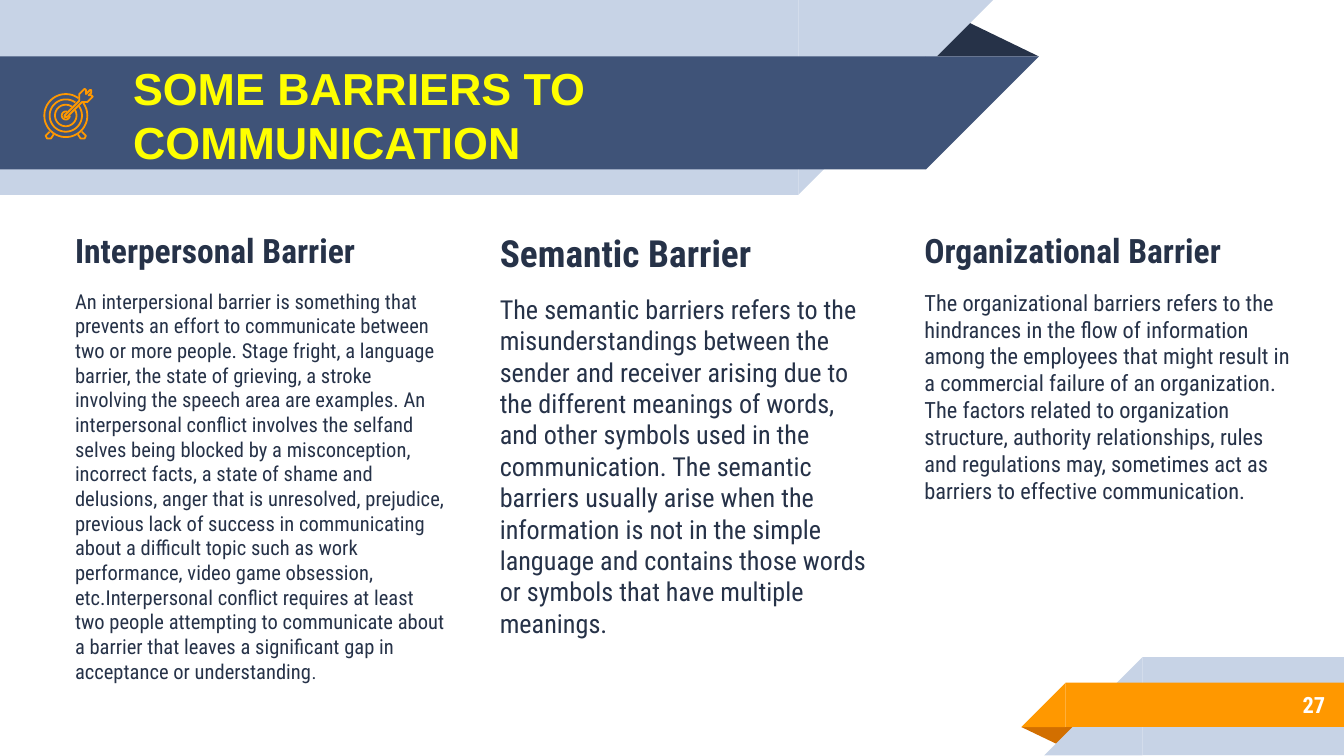
from math import cos, radians, sin

from pptx import Presentation
from pptx.dml.color import RGBColor
from pptx.enum.shapes import MSO_SHAPE
from pptx.enum.text import MSO_ANCHOR, MSO_AUTO_SIZE, PP_ALIGN
from pptx.util import Inches, Pt

COLORS = {
    "ink": "263248",
    "navy": "3F5378",
    "mist": "C7D3E6",
    "orange": "FF9800",
    "rust": "D26F00",
    "yellow": "FFFF00",
    "white": "FFFFFF",
}

COLUMNS = [
    ("Interpersonal Barrier", 18, [
        ("An interpersional barrier is something that prevents an effort to communicate "
         "between two or more people. Stage fright, a language barrier, the state of "
         "grieving, a stroke involving the speech area are examples. An interpersonal "
         "conflict involves the selfand selves being blocked by a misconception, incorrect "
         "facts, a state of shame and delusions, anger that is unresolved, prejudice, "
         "previous lack of success in communicating about a difficult topic such as work "
         "performance, video game obsession, etc.Interpersonal conflict requires at least "
         "two people attempting to communicate about a barrier that leaves a significant "
         "gap in acceptance or understanding", 11),
        (".", 10),
    ]),
    ("Semantic Barrier", 20, [
        ("The semantic barriers refers to the misunderstandings between the sender and "
         "receiver arising due to the different meanings of words, and other symbols used "
         "in the communication. The semantic barriers usually arise when the information "
         "is not in the simple language and contains those words or symbols that have "
         "multiple meanings.", 14),
    ]),
    ("Organizational Barrier", 18, [
        ("The organizational barriers refers to the hindrances in the flow of information "
         "among the employees that might result in a commercial failure of an organization. "
         "The factors related to organization structure, authority relationships, rules and "
         "regulations may, sometimes act as barriers to effective communication.", 12),
    ]),
]

TARGET_CENTER = (0.49, 0.86)
TARGET_RINGS = [(0.16, 54, 396), (0.12, 54, 396), (0.08, 54, 390), (0.03, 75, 360)]
TARGET_FOOT = [(0.37, 0.98), (0.35, 1), (0.34, 1.01), (0.35, 1.03), (0.36, 1.03),
               (0.38, 1.03), (0.4, 1)]
DART = [(0.68, 0.71), (0.66, 0.71), (0.68, 0.69), (0.68, 0.67), (0.67, 0.67),
        (0.64, 0.7), (0.64, 0.67), (0.63, 0.66), (0.59, 0.7), (0.59, 0.75),
        (0.48, 0.86), (0.48, 0.87), (0.5, 0.87), (0.61, 0.76), (0.64, 0.76),
        (0.65, 0.76), (0.69, 0.72)]


class SlideBuilder:
    """Holds the style and the current page, and adds each kind of element."""

    font = "Roboto Condensed"
    margin = Inches(0.1)
    stroke = Pt(0.96)

    def __init__(self, page):
        self.page = page

    def color(self, name):
        return RGBColor.from_string(COLORS[name])

    def shape(self, kind, bounds, color, rotation=0, peak=None):
        shape = self.page.shapes.add_shape(kind, *map(Inches, bounds))
        shape.shadow.inherit = False
        shape.fill.solid()
        shape.fill.fore_color.rgb = self.color(color)
        shape.line.fill.background()
        shape.rotation = rotation
        if peak is not None:
            shape.adjustments[0] = peak

    def outline(self, points, color, close=False):
        start, *rest = [(Inches(x), Inches(y)) for x, y in points]
        builder = self.page.shapes.build_freeform(*start)
        builder.add_line_segments(rest, close=close)
        shape = builder.convert_to_shape()
        shape.shadow.inherit = False
        shape.fill.background()
        shape.line.color.rgb = self.color(color)
        shape.line.width = self.stroke

    def arc(self, center, radius, first, last, color):
        x, y = center
        angles = [radians(angle) for angle in range(first, last + 1, 6)]
        self.outline([(x + radius * cos(a), y - radius * sin(a)) for a in angles], color)

    def format_frame(self, frame, anchor=MSO_ANCHOR.TOP):
        frame.word_wrap = True
        frame.auto_size = MSO_AUTO_SIZE.NONE
        frame.vertical_anchor = anchor
        frame.margin_left = frame.margin_right = self.margin
        frame.margin_top = frame.margin_bottom = self.margin

    def format_font(self, font, size, color, bold=False, name=None):
        font.name = name or self.font
        font.size = Pt(size)
        font.bold = bold
        font.color.rgb = self.color(color)

    def title(self, text, bounds):
        title = self.page.shapes.title
        title.left, title.top, title.width, title.height = map(Inches, bounds)
        self.format_frame(title.text_frame, MSO_ANCHOR.MIDDLE)
        para = title.text_frame.paragraphs[0]
        para.text = text
        para.alignment = PP_ALIGN.LEFT
        self.format_font(para.font, 24, "yellow", True, "Arial")
        self.page.shapes._spTree.append(title._element)

    def text_box(self, bounds, anchor=MSO_ANCHOR.TOP):
        box = self.page.shapes.add_textbox(*map(Inches, bounds))
        self.format_frame(box.text_frame, anchor)
        return box.text_frame

    def page_number(self, text, bounds):
        para = self.text_box(bounds, MSO_ANCHOR.MIDDLE).paragraphs[0]
        para.text = text
        para.alignment = PP_ALIGN.RIGHT
        self.format_font(para.font, 12, "white", True)

    def column(self, heading, size, spans, bounds):
        frame = self.text_box(bounds)
        para = frame.paragraphs[0]
        para.text = heading
        para.space_before = Pt(6)
        self.format_font(para.font, size, "ink", True)
        para = frame.add_paragraph()
        para.space_before = para.space_after = Pt(10)
        self.format_font(para.font, spans[0][1], "ink")
        for text, span_size in spans:
            span = para.add_run()
            span.text = text
            span.font.size = Pt(span_size)


def main():
    deck = Presentation()
    deck.slide_width = Inches(10)
    deck.slide_height = deck.slide_width * 9 // 16
    builder = SlideBuilder(deck.slides.add_slide(deck.slide_layouts[5]))

    bar, corner, fold = MSO_SHAPE.RECTANGLE, MSO_SHAPE.RIGHT_TRIANGLE, MSO_SHAPE.ISOSCELES_TRIANGLE
    builder.shape(fold, (6.88, 0.14, 0.85, 0.28), "ink", peak=0.32)
    builder.shape(bar, (0, 0, 5.94, 1.45), "mist")
    builder.shape(corner, (5.94, 0, 1.45, 1.45), "mist", 90)
    builder.shape(bar, (0, 0.42, 6.89, 0.84), "navy")
    builder.shape(corner, (6.89, 0.42, 0.84, 0.84), "navy", 90)
    builder.shape(fold, (7.6, 5.41, 0.43, 0.14), "rust", 180, 0.32)
    builder.shape(bar, (8.5, 4.89, 1.5, 0.73), "mist")
    builder.shape(corner, (7.77, 4.89, 0.73, 0.73), "mist", 270)
    builder.shape(bar, (7.93, 5.08, 2.07, 0.33), "orange")
    builder.shape(corner, (7.6, 5.08, 0.33, 0.33), "orange", 270)

    builder.title("SOME BARRIERS TO COMMUNICATION", (0.89, 0.43, 6.27, 0.84))
    builder.page_number("27", (8.33, 5.07, 1.63, 0.35))

    for radius, first, last in TARGET_RINGS:
        builder.arc(TARGET_CENTER, radius, first, last, "orange")
    builder.outline(TARGET_FOOT, "orange")
    builder.outline([(2 * TARGET_CENTER[0] - x, y) for x, y in TARGET_FOOT], "orange")
    builder.outline(DART, "orange", close=True)

    for index, (heading, size, spans) in enumerate(COLUMNS):
        builder.column(heading, size, spans, (0.46 + 3.16 * index, 1.61, 2.95, 3.81))

    deck.save("out.pptx")


if __name__ == "__main__":
    main()
